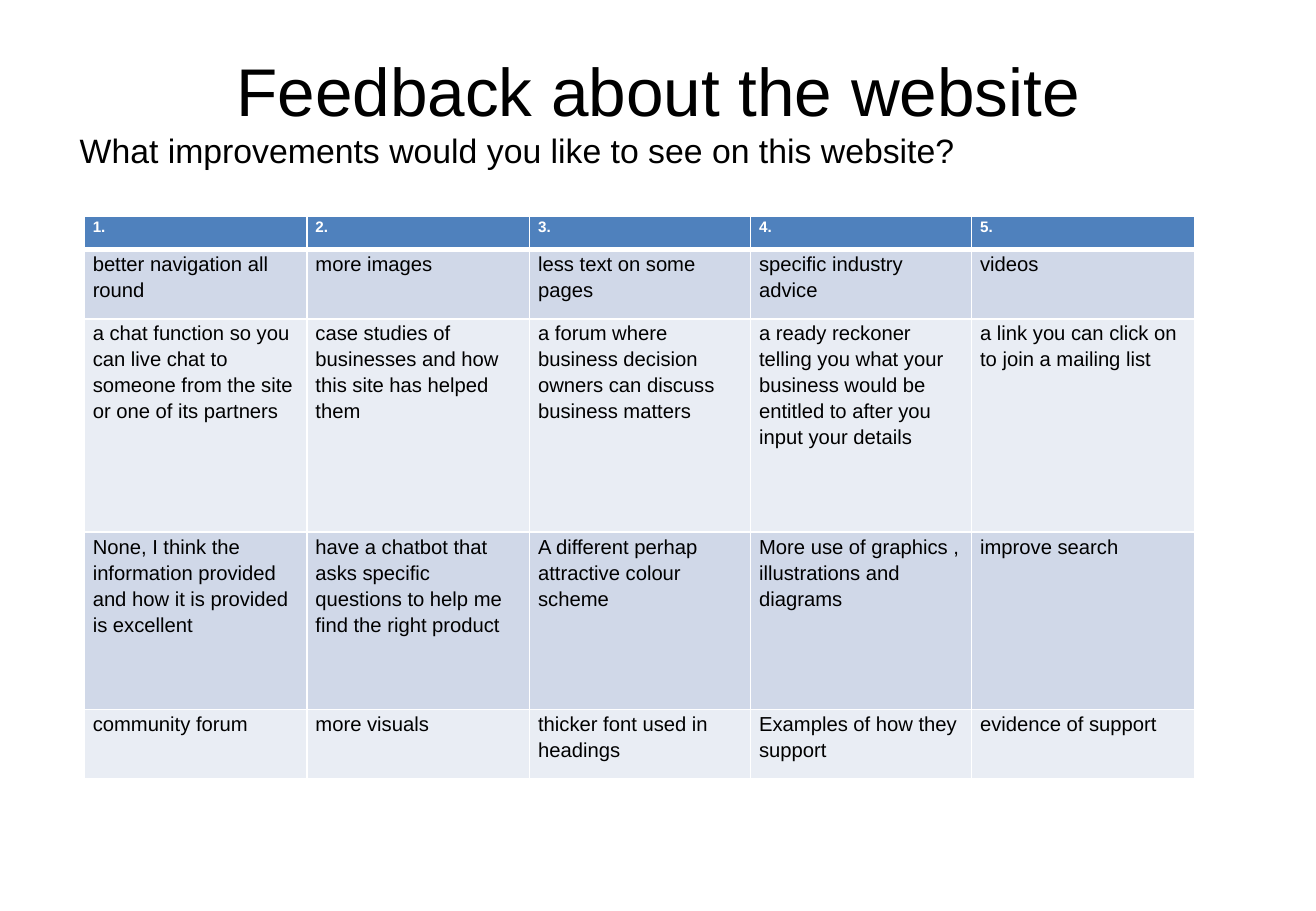
from pptx import Presentation
from pptx.dml.color import RGBColor as RGB
from pptx.enum.text import MSO_ANCHOR as ANCHOR, MSO_AUTO_SIZE as AUTO, PP_ALIGN as ALIGN
from pptx.oxml import parse_xml
from pptx.oxml.ns import nsdecls
from pptx.util import Pt

COLORS = {"text": "000000", "white": "FFFFFF", "header": "4F81BD",
          "dark_band": "D0D8E8", "light_band": "E9EDF4"}
FONT = "Arial"

FEEDBACK = [
    ["1.", "2.", "3.", "4.", "5."],
    ["better navigation all round", "more images", "less text on some pages",
     "specific industry advice", "videos"],
    ["a chat function so you can live chat to someone from the site or one of its partners",
     "case studies of businesses and how this site has helped them",
     "a forum where business decision owners can discuss business matters",
     "a ready reckoner telling you what your business would be entitled to "
     "after you input your details",
     "a link you can click on to join a mailing list"],
    ["None, I think the information provided and how it is provided is excellent",
     "have a chatbot that asks specific questions to help me find the right product",
     "A different perhap attractive colour scheme",
     "More use of graphics , illustrations and diagrams", "improve search"],
    ["community forum", "more visuals", "thicker font used in headings",
     "Examples of how they support", "evidence of support"],
]
COL_WIDTHS = [132, 132, 131, 131, 132]
ROW_HEIGHTS = [20, 41, 126.5, 105, 41]


def add_run(p, text, size, color="text", bold=False):
    """Add one formatted run to a paragraph."""
    r = p.add_run()
    r.text = text
    r.font.name, r.font.size, r.font.bold = FONT, Pt(size), bold
    r.font.color.rgb = RGB.from_string(COLORS[color])


def set_borders(cell, widths):
    """Draw white cell borders; widths maps each side to points."""
    tc_pr = cell._tc.get_or_add_tcPr()
    for i, (side, width) in enumerate(widths.items()):
        tc_pr.insert(i, parse_xml(
            f'<a:{side} {nsdecls("a")} w="{Pt(width)}"><a:solidFill>'
            f'<a:srgbClr val="{COLORS["white"]}"/></a:solidFill></a:{side}>'))


prs = Presentation()
prs.slide_width, prs.slide_height = Pt(780), Pt(540)
s = prs.slides.add_slide(prs.slide_layouts[1])

# Title and question
title, body = s.shapes.title, s.placeholders[1]
for sp, top, height, inset, text, size, align in [
        (title, 21.5, 90, 7.5, "Feedback about the website", 40, ALIGN.CENTER),
        (body, 71.5, 447, 5.5, "What improvements would you like to see on this website?",
         20, ALIGN.LEFT)]:
    sp.left, sp.top, sp.width, sp.height = Pt(39), Pt(top), Pt(702), Pt(height)
    tf = sp.text_frame
    tf.word_wrap, tf.auto_size = True, AUTO.NONE
    tf.vertical_anchor, tf.margin_top = ANCHOR.TOP, Pt(inset)
    p = tf.paragraphs[0]
    p.alignment, p.space_before = align, Pt(0)
    add_run(p, text, size)

p_pr = body.text_frame.paragraphs[0]._p.get_or_add_pPr()
p_pr.set("marL", str(Pt(1)))
p_pr.set("indent", "0")
p_pr.append(parse_xml(f'<a:buNone {nsdecls("a")}/>'))

# Feedback table
table = s.shapes.add_table(len(ROW_HEIGHTS), len(COL_WIDTHS), Pt(50), Pt(128),
                           Pt(sum(COL_WIDTHS)), Pt(sum(ROW_HEIGHTS))).table
for column, width in zip(table.columns, COL_WIDTHS):
    column.width = Pt(width)
for i, (row, height, texts) in enumerate(zip(table.rows, ROW_HEIGHTS, FEEDBACK)):
    row.height = Pt(height)
    is_header = i == 0
    fill = "header" if is_header else "dark_band" if i % 2 else "light_band"
    for cell, text in zip(row.cells, texts):
        cell.margin_left = cell.margin_right = Pt(5)
        cell.margin_top = cell.margin_bottom = Pt(0)
        cell.fill.solid()
        cell.fill.fore_color.rgb = RGB.from_string(COLORS[fill])
        set_borders(cell, {"lnL": 1, "lnR": 1, "lnT": 3 if i == 1 else 1,
                           "lnB": 3 if is_header else 1})
        p = cell.text_frame.paragraphs[0]
        p.line_spacing = 1.15
        if is_header:
            add_run(p, text, 9, "white", bold=True)
        else:
            add_run(p, text, 12)

prs.save("out.pptx")
